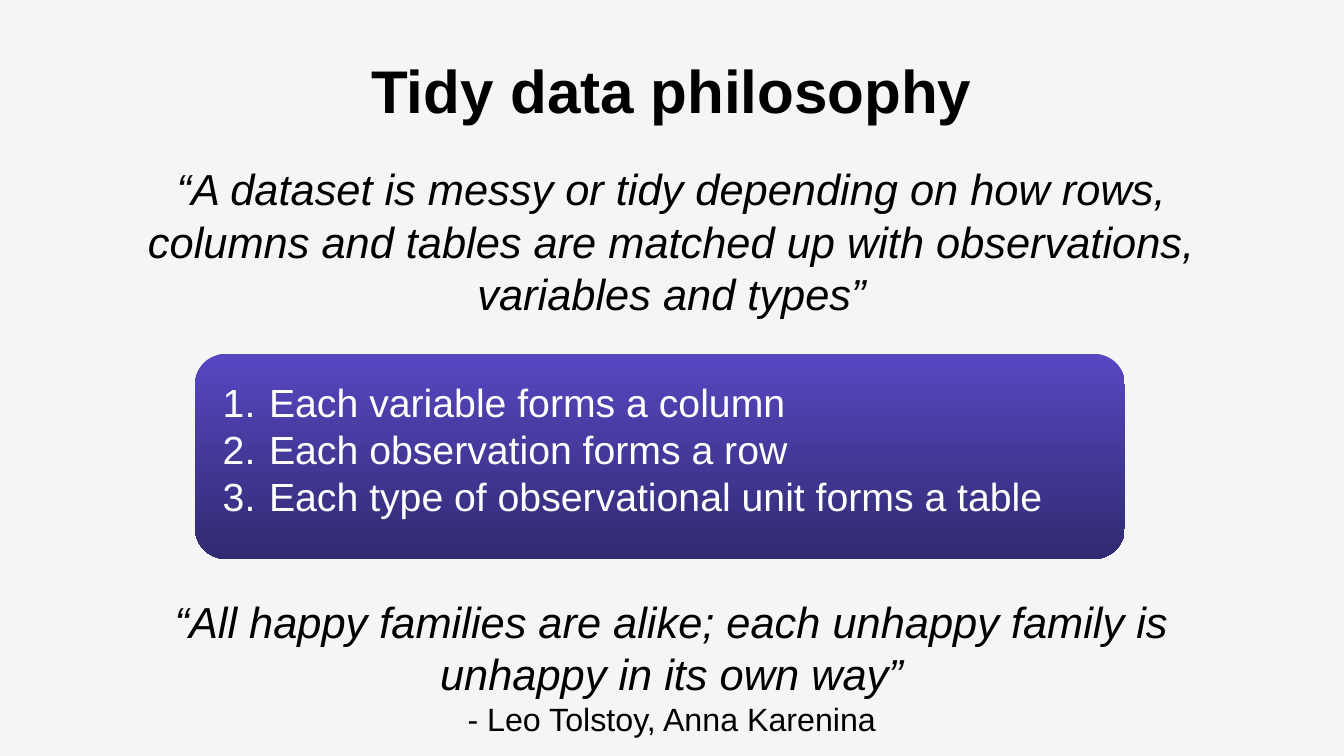
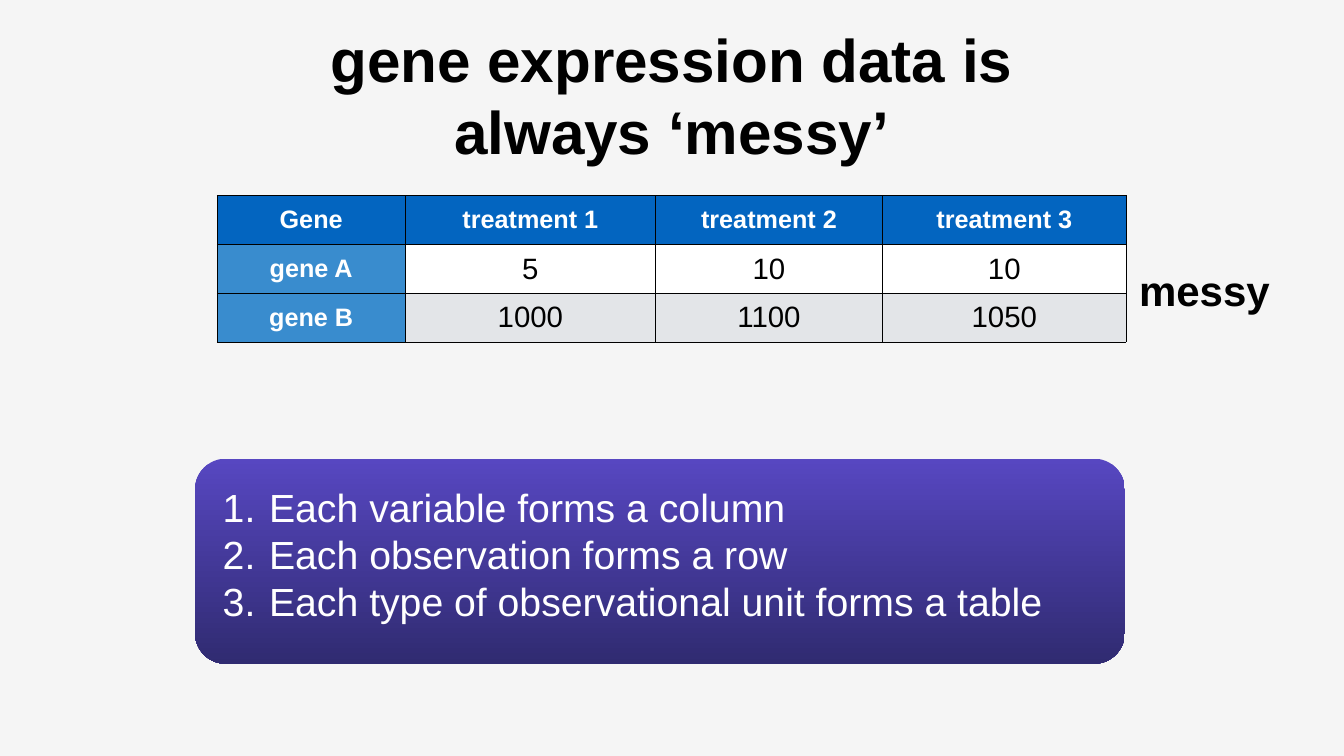
"""Build two slides on tidy data and messy gene expression tables."""
from lxml.etree import SubElement
from pptx import Presentation
from pptx.dml.color import RGBColor
from pptx.enum.shapes import MSO_SHAPE
from pptx.enum.text import MSO_ANCHOR, MSO_AUTO_SIZE, PP_ALIGN
from pptx.oxml import parse_xml
from pptx.oxml.ns import nsdecls, qn
from pptx.util import Inches, Pt

BACKGROUND = RGBColor(0xF5, 0xF5, 0xF5)
BLACK = RGBColor(0x00, 0x00, 0x00)
WHITE = RGBColor(0xFF, 0xFF, 0xFF)
PANEL_TOP = RGBColor(0x57, 0x47, 0xC1)
PANEL_BOTTOM = RGBColor(0x30, 0x2B, 0x71)
HEADER_BLUE = RGBColor(0x03, 0x65, 0xC0)
GENE_BLUE = RGBColor(0x39, 0x8C, 0xCE)
ROW_GREY = RGBColor(0xE3, 0xE5, 0xE8)

RULES = [
    "Each variable forms a column",
    "Each observation forms a row",
    "Each type of observational unit forms a table",
]
TITLES = [
    ("Tidy data philosophy", 1.03, 1.49, 7.02),
    ("gene expression data is always ‘messy’", 0.44, 2.87, 9.1),
]
GENE_ROWS = [
    ["Gene", "treatment 1", "treatment 2", "treatment 3"],
    ["gene A", "5", "10", "10"],
    ["gene B", "1000", "1100", "1050"],
]
COLUMN_WIDTHS = [3.73, 4.97, 4.5, 4.84]
ROW_HEIGHT = 0.97


def style(para, size, color=BLACK, bold=False, italic=False, align=PP_ALIGN.CENTER):
    """Set the font and alignment of one paragraph."""
    para.alignment = align
    font = para.font
    font.name, font.size, font.color.rgb = "Arial", Pt(size), color
    font.bold, font.italic = bold, italic


def fill_box(box, lines):
    """Write lines into a box and return its paragraphs."""
    frame = box.text_frame
    frame.word_wrap = True
    frame.auto_size = MSO_AUTO_SIZE.SHAPE_TO_FIT_TEXT
    frame.vertical_anchor = MSO_ANCHOR.MIDDLE
    frame.margin_left = frame.margin_right = Inches(0.08)
    frame.margin_top = frame.margin_bottom = Inches(0.08)
    frame.text = "\n".join(lines)
    return frame.paragraphs


deck = Presentation()
deck.slide_width, deck.slide_height = Inches(26.67), Inches(15)

for title_text, title_top, title_height, panel_top in TITLES:
    page = deck.slides.add_slide(deck.slide_layouts[5])
    page.background.fill.solid()
    page.background.fill.fore_color.rgb = BACKGROUND

    title = page.shapes.title
    title.left, title.top = Inches(5.24), Inches(title_top)
    title.width, title.height = Inches(16.18), Inches(title_height)
    style(fill_box(title, [title_text])[0], 86, bold=True)

    group = page.shapes.add_group_shape()
    panel = group.shapes.add_shape(
        MSO_SHAPE.ROUNDED_RECTANGLE,
        Inches(3.87), Inches(panel_top), Inches(18.45), Inches(4.07))
    panel.adjustments[0] = 0.15
    panel.shadow.inherit = False
    panel.line.fill.background()
    panel.fill.gradient()
    panel.fill.gradient_angle = 270
    for stop, color in zip(panel.fill.gradient_stops, (PANEL_TOP, PANEL_BOTTOM)):
        stop.color.rgb = color

    rules = group.shapes.add_textbox(
        Inches(4.34), Inches(panel_top + 0.46), Inches(18.46), Inches(2.84))
    for para in fill_box(rules, RULES):
        properties = para._p.get_or_add_pPr()
        properties.set("marL", str(Inches(0.92)))
        properties.set("indent", str(-Inches(0.92)))
        bullet_color = SubElement(properties, qn("a:buClr"))
        SubElement(bullet_color, qn("a:srgbClr"), val=str(WHITE))
        SubElement(properties, qn("a:buFont"), typeface="+mj-lt")
        SubElement(properties, qn("a:buAutoNum"), type="arabicPeriod")
        style(para, 56, WHITE, align=PP_ALIGN.LEFT)

philosophy, messy_data = deck.slides

definition = philosophy.shapes.add_textbox(
    Inches(2.13), Inches(3.23), Inches(22.4), Inches(3.09))
definition_text = ("“A dataset is messy or tidy depending on how rows, columns and tables "
                   "are matched up with observations, variables and types”")
style(fill_box(definition, [definition_text])[0], 62, italic=True)

quote = philosophy.shapes.add_shape(
    MSO_SHAPE.RECTANGLE, Inches(2.29), Inches(11.79), Inches(22.08), Inches(2.86))
quote.shadow.inherit = False
quote.line.fill.background()
quote.fill.solid()
quote.fill.fore_color.rgb = BACKGROUND
saying, author = fill_box(quote, [
    "“All happy families are alike; each unhappy family is unhappy in its own way”",
    "- Leo Tolstoy, Anna Karenina",
])
style(saying, 62, italic=True)
style(author, 46)

table = messy_data.shapes.add_table(
    len(GENE_ROWS), len(COLUMN_WIDTHS), Inches(4.31), Inches(3.88),
    Inches(sum(COLUMN_WIDTHS)), Inches(ROW_HEIGHT * len(GENE_ROWS))).table
for column, width in zip(table.columns, COLUMN_WIDTHS):
    column.width = Inches(width)
for row_index, values in enumerate(GENE_ROWS):
    for column_index, value in enumerate(values):
        cell = table.cell(row_index, column_index)
        is_label = row_index == 0 or column_index == 0
        cell.text = value
        cell.vertical_anchor = MSO_ANCHOR.MIDDLE
        cell.margin_left = cell.margin_right = Inches(0.06 if is_label else 0.07)
        cell.margin_top = cell.margin_bottom = Inches(0.06 if is_label else 0)
        para = cell.text_frame.paragraphs[0]
        if is_label:
            style(para, 36, WHITE, bold=True)
            color = HEADER_BLUE if row_index == 0 else GENE_BLUE
        else:
            style(para, 42)
            color = WHITE if row_index == 1 else ROW_GREY
        cell_properties = cell._tc.get_or_add_tcPr()
        for side in ("lnL", "lnR", "lnT", "lnB"):
            cell_properties.append(parse_xml(
                f'<a:{side} {nsdecls("a")} w="{Pt(0.75)}"><a:solidFill>'
                f'<a:srgbClr val="{BLACK}"/></a:solidFill></a:{side}>'))
        cell.fill.solid()
        cell.fill.fore_color.rgb = color

label = messy_data.shapes.add_textbox(
    Inches(22.52), Inches(5.21), Inches(2.76), Inches(1.09))
style(fill_box(label, ["messy"])[0], 60, bold=True)

deck.save("out.pptx")
